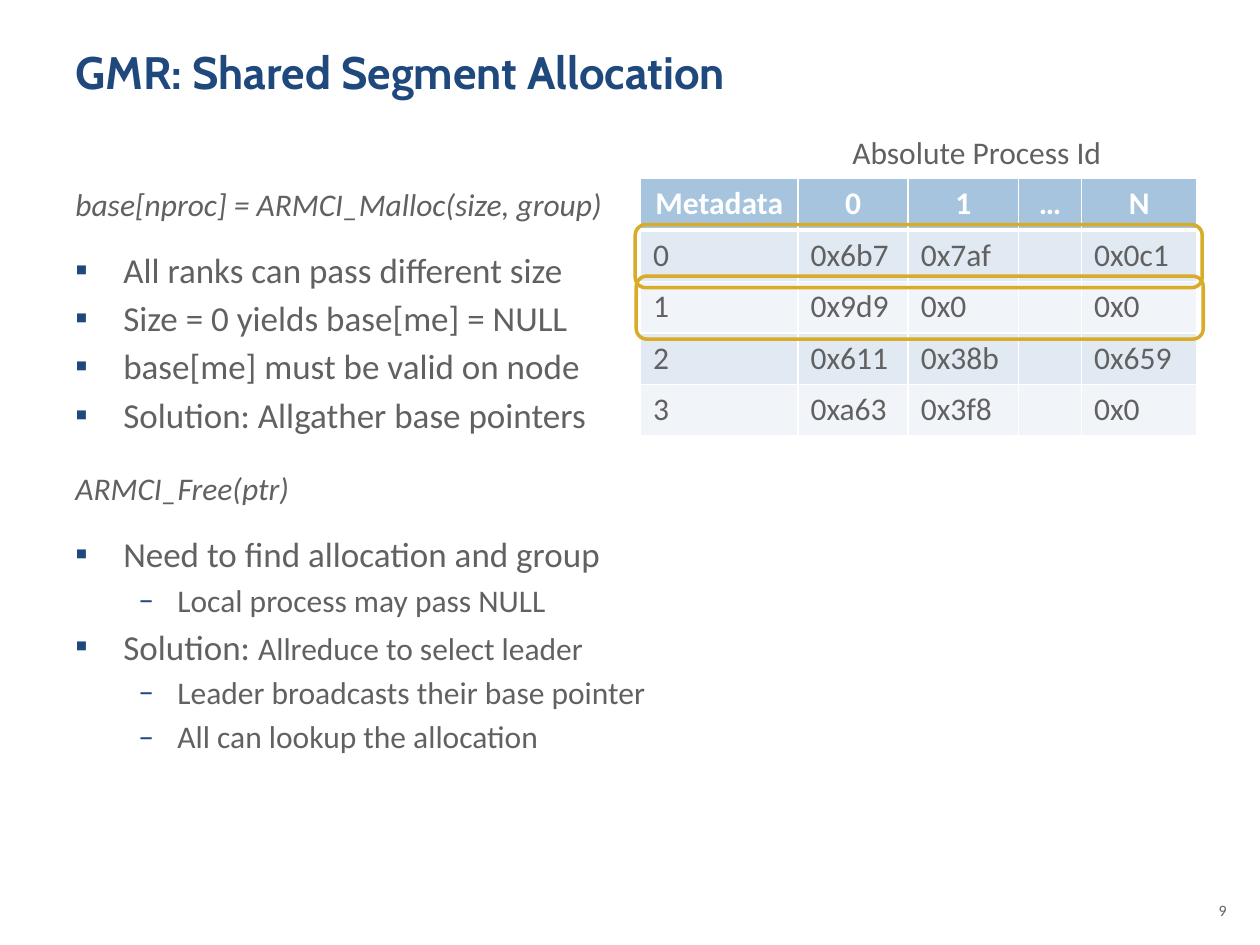
from typing import NamedTuple, Optional

import lxml.etree
import pptx
import pptx.dml.color
import pptx.enum.shapes
import pptx.enum.text
import pptx.oxml.ns
import pptx.util

DECK_WIDTH, DECK_HEIGHT = pptx.util.Inches(10), pptx.util.Inches(7.5)
COLUMNS, ROWS = 120, 90
NAVY, GRAY, WHITE, GOLD = "1F497D", "616161", "FFFFFF", "D8AC28"
HEADER_FILL, BAND_FILLS = "A6C4DE", ("E1EAF2", "F1F5F9")
ALIGN = pptx.enum.text.PP_ALIGN
TABLE_LEFT, TABLE_TOP, TABLE_ROW = 61, 17, 4.9
TABLE_COLUMNS = (15, 10.5, 10.5, 6, 11)
TABLE_VALUES = (
    ("Metadata", "0", "1", "…", "N"),
    ("0", "0x6b7", "0x7af", "", "0x0c1"),
    ("1", "0x9d9", "0x0", "", "0x0"),
    ("2", "0x611", "0x38b", "", "0x659"),
    ("3", "0xa63", "0x3f8", "", "0x0"),
)


class Area(NamedTuple):
    left: float
    top: float
    width: float
    height: float


class Span(NamedTuple):
    text: str
    size: float = 18
    color: str = GRAY
    font: str = "Calibri"
    bold: bool = False
    italic: bool = False


class Style(NamedTuple):
    margin: float = 0
    indent: float = 0
    bullet: str = ""


class Para(NamedTuple):
    spans: tuple[Span, ...]
    style: Style = Style()
    before: float = 0
    align: Optional[ALIGN] = None


CALL = Style(0.38, -0.38)
POINT = Style(0.38, -0.38, "▪")
DETAIL = Style(0.81, -0.31, "–")
GAP, AFTER_CALL, BEFORE_CALL = 3.6, 14.8, 19.2


def call(text: str, before: float) -> Para:
    return Para((Span(text, italic=True),), CALL, before)


def point(text: str, before: float = GAP) -> Para:
    return Para((Span(text, 20),), POINT, before)


def detail(text: str) -> Para:
    return Para((Span(text),), DETAIL, GAP)


BODY = (
    call("base[nproc] = ARMCI_Malloc(size, group)", 0),
    point("All ranks can pass different size", AFTER_CALL),
    point("Size = 0 yields base[me] = NULL"),
    point("base[me] must be valid on node"),
    point("Solution: Allgather base pointers"),
    call("ARMCI_Free(ptr)", BEFORE_CALL),
    point("Need to find allocation and group", AFTER_CALL),
    detail("Local process may pass NULL"),
    Para((Span("Solution: ", 20), Span("Allreduce to select leader")), POINT, GAP),
    detail("Leader broadcasts their base pointer"),
    detail("All can lookup the allocation"),
)


def across(columns: float) -> int:
    return round(DECK_WIDTH * columns / COLUMNS)


def down(rows: float) -> int:
    return round(DECK_HEIGHT * rows / ROWS)


def place(area: Area) -> tuple[int, int, int, int]:
    return across(area.left), down(area.top), across(area.width), down(area.height)


def rgb(color: str) -> pptx.dml.color.RGBColor:
    return pptx.dml.color.RGBColor.from_string(color)


def add_element(parent, tag: str, **attributes: str):
    return lxml.etree.SubElement(parent, pptx.oxml.ns.qn(tag), **attributes)


def write_para(paragraph, para: Para) -> None:
    properties = paragraph._p.get_or_add_pPr()
    properties.set("marL", str(pptx.util.Inches(para.style.margin)))
    properties.set("indent", str(pptx.util.Inches(para.style.indent)))
    if para.style.bullet:
        add_element(add_element(properties, "a:buClr"), "a:srgbClr", val=NAVY)
        add_element(properties, "a:buFont", typeface="Calibri")
        add_element(properties, "a:buChar", char=para.style.bullet)
    paragraph.space_before = pptx.util.Pt(para.before)
    paragraph.alignment = para.align
    for span in para.spans:
        run = paragraph.add_run()
        run.text = span.text
        run.font.name = span.font
        run.font.size = pptx.util.Pt(span.size)
        run.font.bold = span.bold
        run.font.italic = span.italic
        run.font.color.rgb = rgb(span.color)


def add_text(page, area: Area, paras: tuple[Para, ...], wrap: bool = True) -> None:
    frame = page.shapes.add_textbox(*place(area)).text_frame
    frame.word_wrap = wrap
    for index, para in enumerate(paras):
        paragraph = frame.add_paragraph() if index else frame.paragraphs[0]
        write_para(paragraph, para)


def set_borders(cell, top: float, bottom: float) -> None:
    properties = cell._tc.get_or_add_tcPr()
    for side, points in (("L", 1), ("R", 1), ("T", top), ("B", bottom)):
        line = add_element(properties, f"a:ln{side}", w=str(pptx.util.Pt(points)))
        add_element(add_element(line, "a:solidFill"), "a:srgbClr", val=WHITE)


def add_pointer_table(page) -> None:
    area = Area(TABLE_LEFT, TABLE_TOP, sum(TABLE_COLUMNS), TABLE_ROW * len(TABLE_VALUES))
    table = page.shapes.add_table(len(TABLE_VALUES), len(TABLE_COLUMNS), *place(area)).table
    for column, width in zip(table.columns, TABLE_COLUMNS):
        column.width = across(width)
    for row, values in enumerate(TABLE_VALUES):
        table.rows[row].height = down(TABLE_ROW)
        header = row == 0
        for column, value in enumerate(values):
            cell = table.cell(row, column)
            set_borders(cell, 3 if row == 1 else 1, 3 if header else 1)
            cell.fill.solid()
            cell.fill.fore_color.rgb = rgb(HEADER_FILL if header else BAND_FILLS[(row - 1) % 2])
            paragraph = cell.text_frame.paragraphs[0]
            paragraph.font.size = pptx.util.Pt(18)
            if value:
                span = Span(value, color=WHITE if header else GRAY, bold=header)
                write_para(paragraph, Para((span,), align=ALIGN.CENTER if header else None))


def add_row_outline(page, area: Area) -> None:
    outline = page.shapes.add_shape(
        pptx.enum.shapes.MSO_SHAPE.ROUNDED_RECTANGLE, *place(area)
    )
    outline.shadow.inherit = False
    outline.fill.background()
    outline.line.color.rgb = rgb(GOLD)
    outline.line.width = pptx.util.Pt(2)


def main() -> None:
    deck = pptx.Presentation()
    deck.slide_width, deck.slide_height = DECK_WIDTH, DECK_HEIGHT
    page = deck.slides.add_slide(deck.slide_layouts[6])
    title = Span("GMR: Shared Segment Allocation", 26, NAVY, "Cabin", bold=True)
    add_text(page, Area(6, 3.6, 108, 12.4), (Para((title,)),))
    add_text(page, Area(6, 17, 62, 63.4), BODY)
    add_text(page, Area(113, 85.2, 5, 4.8), (Para((Span("9", 9),), align=ALIGN.RIGHT),))
    add_pointer_table(page)
    add_text(page, Area(80, 12.1, 26.4, 4.8), (Para((Span("Absolute Process Id"),)),), wrap=False)
    for row in range(2):
        add_row_outline(page, Area(60.5 + 0.1 * row, 21.4 + TABLE_ROW * row, 54, 6))
    deck.save("out.pptx")


if __name__ == "__main__":
    main()
